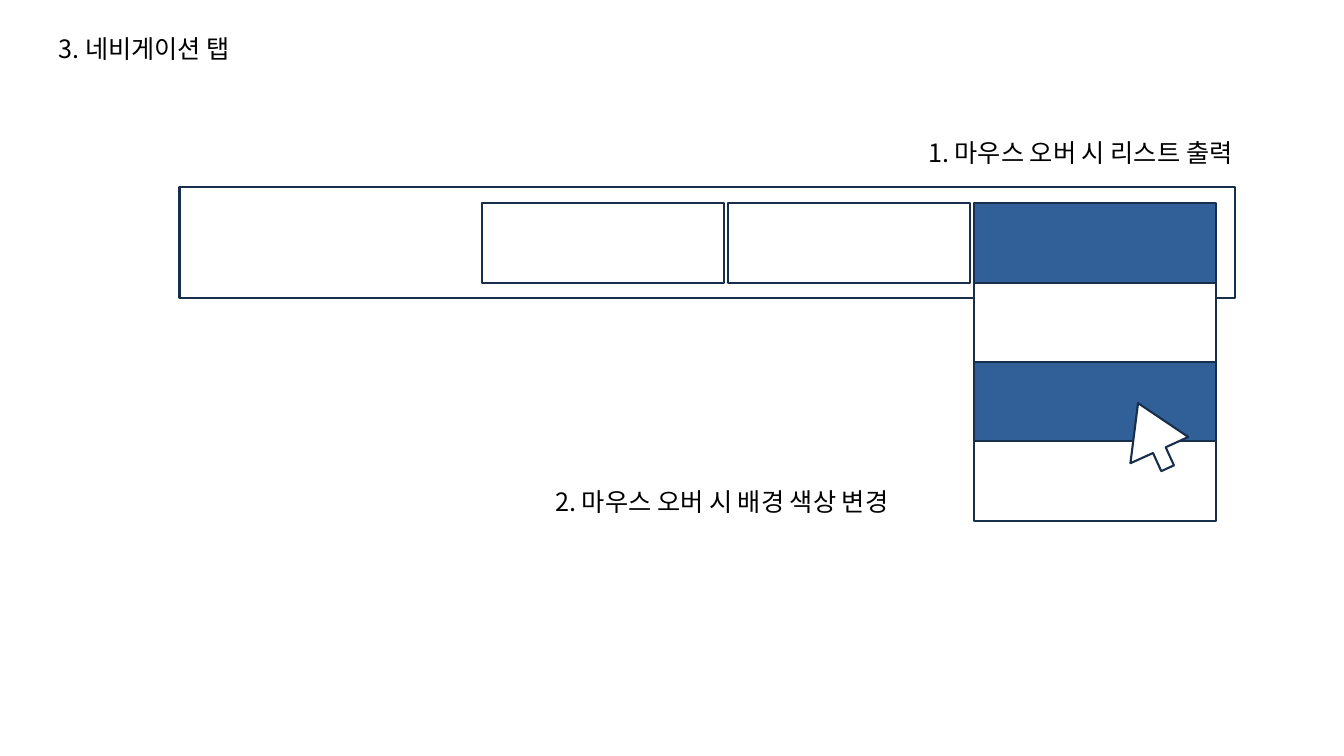
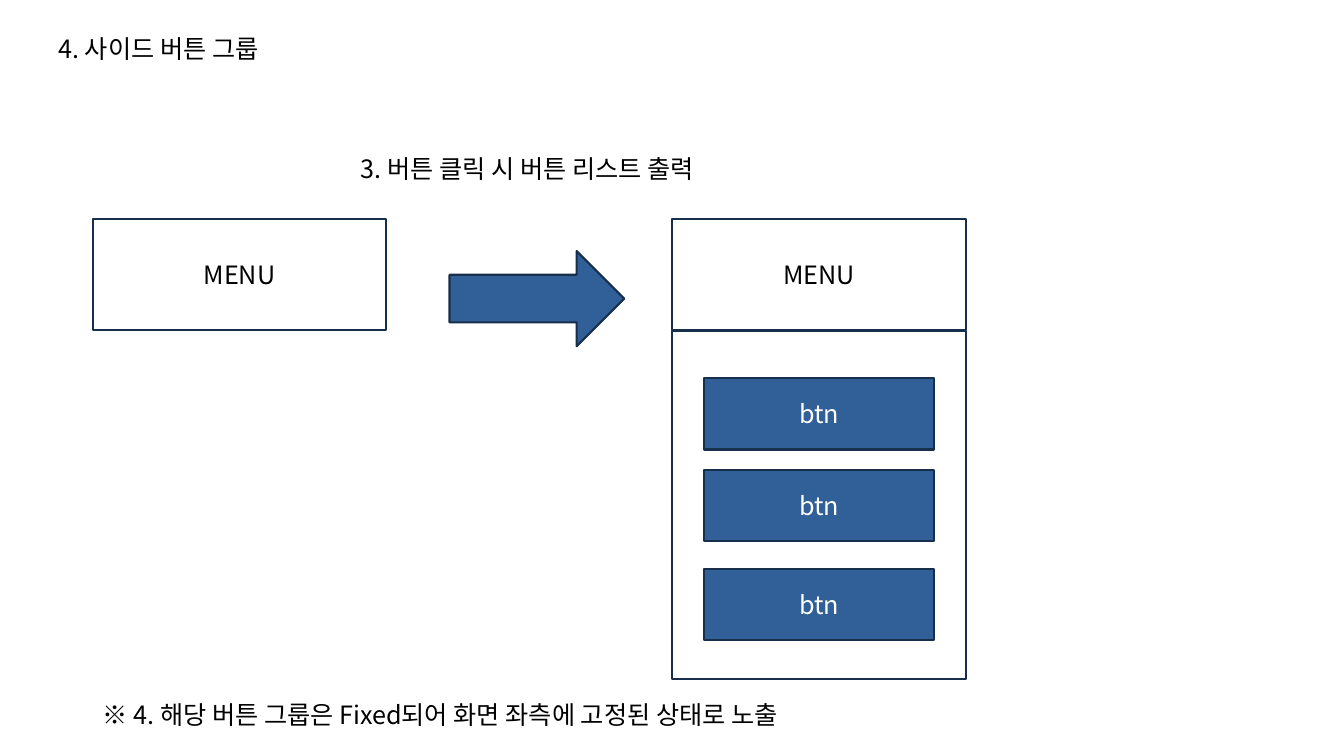
from lxml.etree import SubElement
from pptx import Presentation
from pptx.dml.color import RGBColor
from pptx.enum.shapes import MSO_SHAPE
from pptx.enum.text import MSO_ANCHOR, MSO_AUTO_SIZE, PP_ALIGN
from pptx.oxml.ns import qn
from pptx.util import Pt

FONT = "Noto Sans CJK KR"
BLACK = RGBColor(0x00, 0x00, 0x00)
WHITE = RGBColor(0xFF, 0xFF, 0xFF)
BLUE = RGBColor(0x31, 0x5F, 0x97)
NAVY = RGBColor(0x18, 0x2F, 0x4B)


def write(tf, text, color):
    tf.text = text
    r = tf.paragraphs[0].runs[0]
    r.font.size = Pt(18)
    r.font.name = FONT
    r.font.color.rgb = color
    SubElement(r._r.get_or_add_rPr(), qn("a:ea")).set("typeface", FONT)


def add_label(s, text, x, y, w, wrap=True):
    tf = s.shapes.add_textbox(Pt(x), Pt(y), Pt(w), Pt(28.8)).text_frame
    tf.word_wrap = wrap
    tf.auto_size = MSO_AUTO_SIZE.SHAPE_TO_FIT_TEXT
    write(tf, text, BLACK)


def add_box(s, x, y, w, h, fill=WHITE, text="", kind=MSO_SHAPE.RECTANGLE):
    sp = s.shapes.add_shape(kind, Pt(x), Pt(y), Pt(w), Pt(h))
    sp.shadow.inherit = False
    sp.fill.solid()
    sp.fill.fore_color.rgb = fill
    sp.line.color.rgb = NAVY
    sp.line.width = Pt(1.5)
    if text:
        tf = sp.text_frame
        tf.vertical_anchor = MSO_ANCHOR.MIDDLE
        write(tf, text, BLACK if fill == WHITE else WHITE)
        tf.paragraphs[0].alignment = PP_ALIGN.CENTER
    return sp


def add_titled_slide(prs, title, width):
    s = prs.slides.add_slide(prs.slide_layouts[6])
    s.background.fill.solid()
    s.background.fill.fore_color.rgb = WHITE
    add_label(s, title, 34.6, 20.2, width, wrap=False)
    return s


def add_navigation(s, x, y, w, h):
    tab_w, tab_h, step = 172.8, 56.7, 175.7
    add_box(s, x, y, w, h)
    first_x, top = x + 216, y + 11.5
    for i, fill in enumerate((WHITE, WHITE, BLUE)):
        add_box(s, first_x + i * step, top, tab_w, tab_h, fill)
    list_x = first_x + 2 * step
    for i, fill in enumerate((WHITE, BLUE, WHITE), 1):
        add_box(s, list_x, top + i * tab_h, tab_w, tab_h, fill)
    cursor = add_box(s, list_x + 102.3, top + 143.3, 51.1, 45.4,
                     kind=MSO_SHAPE.RIGHT_ARROW)
    cursor.adjustments[0] = 0.219
    cursor.adjustments[1] = 0.812
    cursor.rotation = 245.6


def add_menu(s, x, y, w, h):
    add_box(s, x, y, w, h, text="MENU")


def add_open_menu(s, x, y, w, h):
    add_menu(s, x, y, w, h)
    list_y = y + h + 0.6
    add_box(s, x, list_y, w, 249.1)
    button_w = 164.2
    for offset in (33.8, 99.3, 170):
        add_box(s, x + (w - button_w) / 2, list_y + offset, button_w, 51.1,
                BLUE, "btn")


def build_navigation_slide(prs):
    s = add_titled_slide(prs, "3. 네비게이션 탭", 145.4)
    add_navigation(s, 128.2, 133.7, 753.8, 79.4)
    add_label(s, "2. 마우스 오버 시 배경 색상 변경", 389.5, 343.8, 303.1)
    add_label(s, "1. 마우스 오버 시 리스트 출력", 655.9, 94.3, 252)


def build_side_button_slide(prs):
    s = add_titled_slide(prs, "4. 사이드 버튼 그룹", 168.5)
    add_menu(s, 66.2, 156.4, 209.7, 79.2)
    add_label(s, "3. 버튼 클릭 시 버튼 리스트 출력", 250.6, 105.8, 313.9)
    add_open_menu(s, 480.2, 156.4, 209.7, 79.2)
    add_box(s, 321.1, 179.3, 124.8, 68, BLUE, kind=MSO_SHAPE.RIGHT_ARROW)
    add_label(s, "※ 4. 해당 버튼 그룹은 Fixed되어 화면 좌측에 고정된 상태로 노출",
              66.2, 496.1, 533.5)


def main():
    prs = Presentation()
    prs.slide_width, prs.slide_height = Pt(960), Pt(540)
    build_navigation_slide(prs)
    build_side_button_slide(prs)
    prs.save("out.pptx")


if __name__ == "__main__":
    main()
